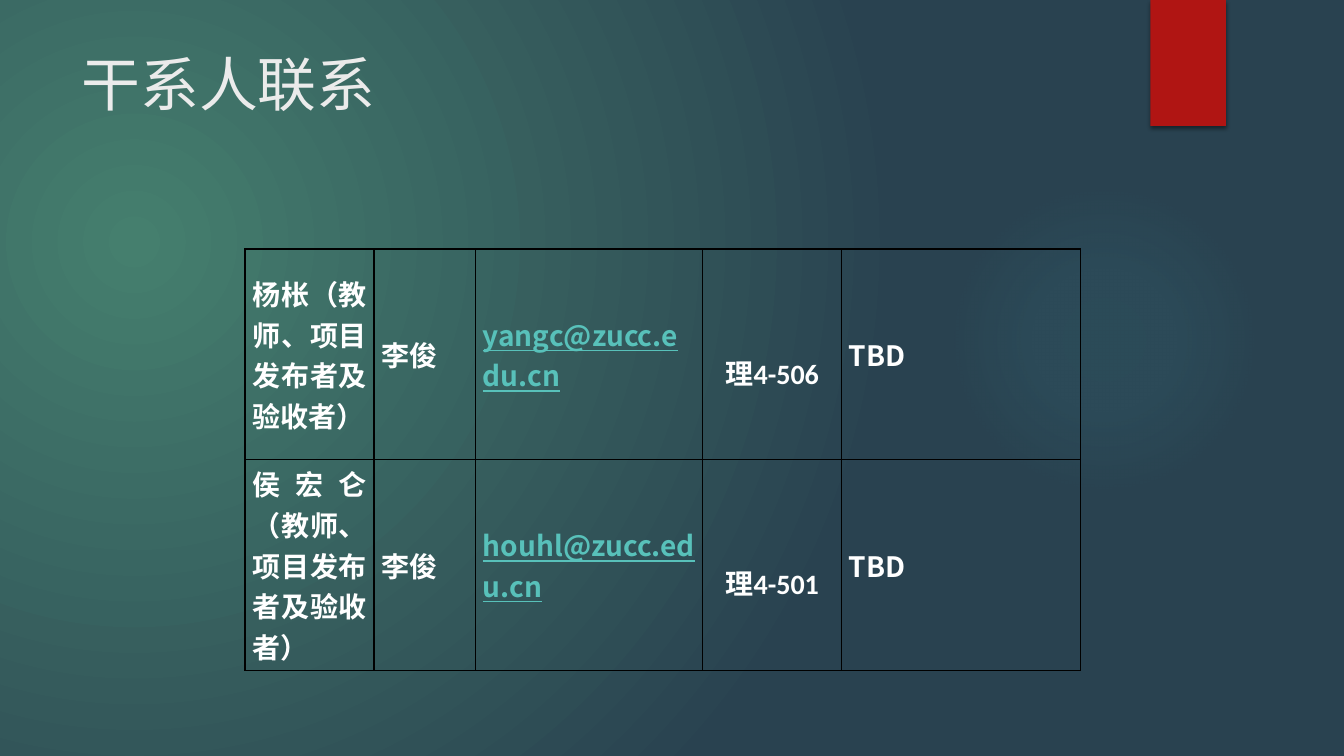
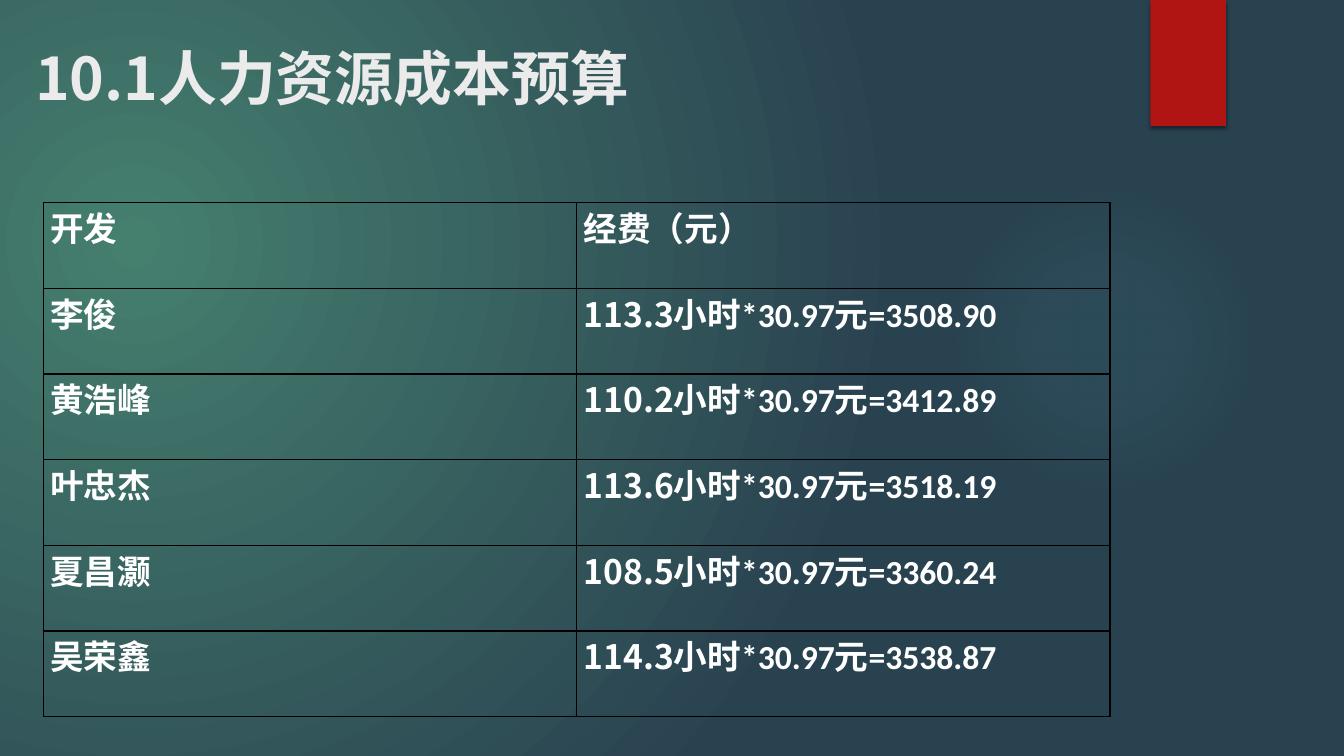
import pptx
import pptx.util
import pptx.dml.color
import pptx.enum.shapes
import pptx.enum.text
import pptx.oxml
import pptx.oxml.ns

Inches, Pt = pptx.util.Inches, pptx.util.Pt
ALIGN = pptx.enum.text.PP_ALIGN
ANCHOR = pptx.enum.text.MSO_ANCHOR
SHAPE = pptx.enum.shapes.MSO_SHAPE
qn = pptx.oxml.ns.qn
NS = pptx.oxml.ns.nsdecls("a")

COLORS = {
    "glow": "457F6E", "base": "294250", "halo": "50B9C1", "ribbon": "B01513",
    "title": "EBEBEB", "text": "FFFFFF", "link": "58C1BA", "border": "000000",
}
SANS, BODY = "Noto Sans CJK SC", "Calibri"

CONTACTS = [
    ("杨枨（教师、项目发布者及验收者）", "李俊", "yangc@zucc.edu.cn", "理4-506", "TBD"),
    ("侯宏仑（教师、项目发布者及验收者）", "李俊", "houhl@zucc.edu.cn", "理4-501", "TBD"),
]
COSTS = [
    ("李俊", "113.3", "3508.90"),
    ("黄浩峰", "110.2", "3412.89"),
    ("叶忠杰", "113.6", "3518.19"),
    ("夏昌灏", "108.5", "3360.24"),
    ("吴荣鑫", "114.3", "3538.87"),
]


def rgb(name):
    return pptx.dml.color.RGBColor.from_string(COLORS[name])


def write_text(frame, *runs, size=20, font=BODY, color="text", bold=True,
               underline=False, align=ALIGN.LEFT, spacing=1.0):
    """Write one paragraph; a run is a text or a (text, font) pair."""
    paragraph = frame.paragraphs[0]
    paragraph.alignment, paragraph.line_spacing = align, spacing
    for part in runs:
        words, face = (part, font) if isinstance(part, str) else part
        run = paragraph.add_run()
        run.text = words
        run.font.size, run.font.name = Pt(size), face
        run.font.bold, run.font.underline = bold, underline
        run.font.color.rgb = rgb(color)
        east_asian = pptx.oxml.parse_xml(f'<a:ea {NS} typeface="{SANS}"/>')
        run.font._element.find(qn("a:latin")).addnext(east_asian)


def set_radial_fill(properties, stops, focus):
    """Replace an empty fill by a circular gradient of (percent, colour, alpha) stops."""
    marks = "".join(
        f'<a:gs pos="{at * 1000}"><a:srgbClr val="{COLORS[color]}">'
        f'<a:alpha val="{alpha * 1000}"/></a:srgbClr></a:gs>'
        for at, color, alpha in stops)
    sides = " ".join(f'{side}="{value * 1000}"' for side, value in zip("ltrb", focus))
    empty_fill = properties.find(qn("a:noFill"))
    properties.replace(empty_fill, pptx.oxml.parse_xml(
        f'<a:gradFill {NS} rotWithShape="1"><a:gsLst>{marks}</a:gsLst>'
        f'<a:path path="circle"><a:fillToRect {sides}/></a:path></a:gradFill>'))


def set_background(master):
    master.background.fill.background()
    set_radial_fill(master.element.find(".//" + qn("p:bgPr")),
                    [(0, "glow", 100), (100, "base", 100)], (45, 65, 125, 100))


def add_plain_shape(slide, kind, left, top, width, height):
    shape = slide.shapes.add_shape(kind, Inches(left), Inches(top),
                                   Inches(width), Inches(height))
    shape.shadow.inherit = False
    shape.line.fill.background()
    return shape


def add_decoration(slide):
    # Soft halo on the right
    halo = add_plain_shape(slide, SHAPE.OVAL, 9.41, 1.83, 3.08, 3.08)
    halo.fill.background()
    set_radial_fill(halo._element.spPr,
                    [(0, "halo", 7), (36, "halo", 6), (69, "halo", 0)], (50, 50, 50, 50))
    # Red ribbon with a shadow below it
    ribbon = add_plain_shape(slide, SHAPE.RECTANGLE, 11.41, 0, 0.75, 1.25)
    ribbon.fill.solid()
    ribbon.fill.fore_color.rgb = rgb("ribbon")
    ribbon._element.spPr.find(qn("a:effectLst")).append(pptx.oxml.parse_xml(
        f'<a:outerShdw {NS} blurRad="{Pt(3)}" dist="{Pt(2)}" dir="5400000" '
        f'rotWithShape="0"><a:srgbClr val="{COLORS["border"]}">'
        '<a:alpha val="45000"/></a:srgbClr></a:outerShdw>'))


def add_title(slide, words, left, top, bold):
    title = slide.shapes.add_textbox(Inches(left), Inches(top), Inches(10.29), Inches(1.53))
    title.text_frame.word_wrap = True
    write_text(title.text_frame, words, size=42, font=SANS, color="title",
               bold=bold, spacing=0.9)


def start_slide(deck, title, left, top, bold=False):
    slide = deck.slides.add_slide(deck.slide_layouts[6])
    add_decoration(slide)
    add_title(slide, title, left, top, bold)
    return slide


def add_grid(slide, left, top, widths, row_height, row_count):
    """Add a clear table with thin black borders."""
    grid = slide.shapes.add_table(
        row_count, len(widths), Inches(left), Inches(top),
        Inches(sum(widths)), Inches(row_height * row_count)).table
    grid.first_row = grid.horz_banding = False
    for column, width in zip(grid.columns, widths):
        column.width = Inches(width)
    for row in grid.rows:
        row.height = Inches(row_height)
    for cell in grid.iter_cells():
        cell.margin_left = cell.margin_right = Inches(0.07)
        cell.margin_top = cell.margin_bottom = 0
        cell.fill.background()
        for position, side in enumerate("LRTB"):
            cell._tc.tcPr.insert(position, pptx.oxml.parse_xml(
                f'<a:ln{side} {NS} w="{Pt(1)}"><a:solidFill>'
                f'<a:srgbClr val="{COLORS["border"]}"/></a:solidFill></a:ln{side}>'))
    return grid


def add_contacts(slide, left, top):
    grid = add_grid(slide, left, top, [1.28, 1.01, 2.25, 1.38, 2.37], 2.09, len(CONTACTS))
    formats = [
        {}, {},
        {"font": SANS, "color": "link", "underline": True},
        {"align": ALIGN.CENTER},
        {"font": SANS},
    ]
    room_column = 3
    for row, contact in enumerate(CONTACTS):
        for column, (words, style) in enumerate(zip(contact, formats)):
            cell = grid.cell(row, column)
            if column == room_column:
                cell.margin_top = Inches(1.02)
            else:
                cell.vertical_anchor = ANCHOR.MIDDLE
            write_text(cell.text_frame, words, **{"align": ALIGN.JUSTIFY, **style})


def add_costs(slide, left, top):
    rows = [(["开发"], ["经费（元）"])]
    rows += [([name], [(hours, SANS), f"小时*30.97元={cost}"])
             for name, hours, cost in COSTS]
    grid = add_grid(slide, left, top, [5.29, 5.29], 0.85, len(rows))
    for row, cells in enumerate(rows):
        for column, runs in enumerate(cells):
            write_text(grid.cell(row, column).text_frame, *runs, size=24)


def main():
    deck = pptx.Presentation()
    deck.slide_width, deck.slide_height = Inches(13.33), Inches(7.5)
    set_background(deck.slide_master)

    # Stakeholder contacts
    add_contacts(start_slide(deck, "干系人联系", 0.71, 0.5), 2.43, 2.47)

    # Staff cost budget
    add_costs(start_slide(deck, "10.1人力资源成本预算", 0.25, 0.44, bold=True), 0.43, 2.01)

    deck.save("out.pptx")


if __name__ == "__main__":
    main()
